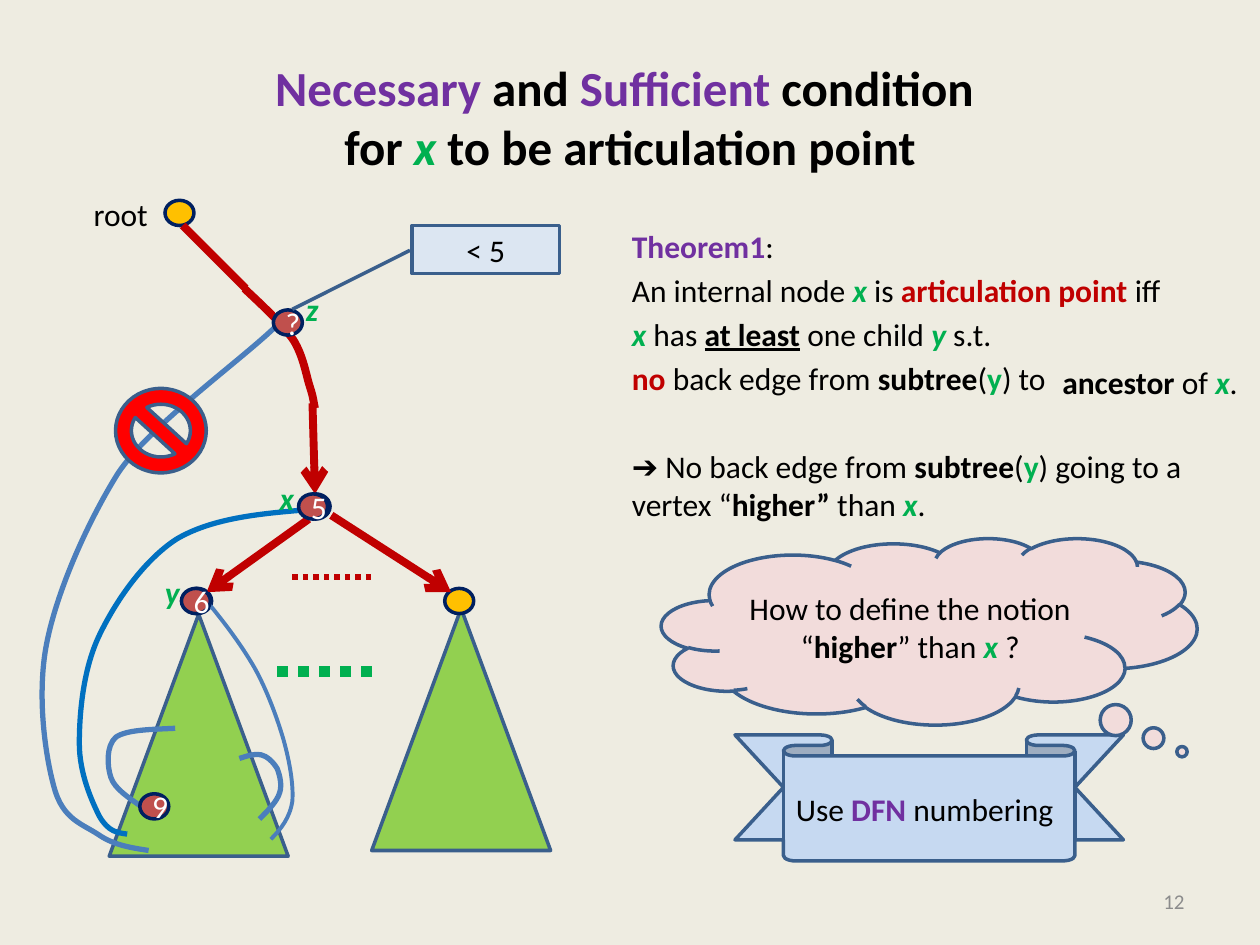
"""Build the slide on the condition for a node to be an articulation point."""
import lxml.etree
import pptx
import pptx.dml.color
import pptx.enum.dml
import pptx.enum.shapes
import pptx.enum.text
import pptx.oxml.ns
import pptx.util

COLS, ROWS = 100, 75
CELL = pptx.util.Inches(0.1)
KIND = pptx.enum.shapes.MSO_SHAPE
LEFT, CENTER, RIGHT = (getattr(pptx.enum.text.PP_ALIGN, n) for n in ("LEFT", "CENTER", "RIGHT"))
qn = pptx.oxml.ns.qn

THEME = {
    "font": "Calibri", "title": 28, "body": 18, "footer": 12,
    "paper": "EEECE1", "black": "000000", "white": "FFFFFF", "grey": "8C8C8C",
    "purple": "7030A0", "green": "00B050", "red": "C00000", "stop": "FF0000",
    "outline": "3A5F8C", "navy": "002060", "gold": "FFC000", "brick": "C0504D",
    "leaf": "92D050", "sky": "C6D9F1", "pale": "DCE6F2", "pink": "F2DCDB",
    "steel": "4B7EBC", "blue": "0070C0",
}
STYLES = {
    "plain": ("black", {}),
    "bold": ("black", {"bold": True}),
    "under": ("black", {"bold": True, "underline": True}),
    "var": ("green", {"bold": True, "italic": True}),
    "child": ("green", {"bold": True}),
    "key": ("purple", {"bold": True}),
    "alert": ("red", {"bold": True}),
    "node": ("white", {}),
    "footer": ("grey", {}),
}


def color(name):
    return pptx.dml.color.RGBColor.from_string(THEME[name])


def add(kind, box, paragraphs=(), align=CENTER, size="body", fill=None, line="outline",
        adjust=(), wrap=True, anchor="MIDDLE", gaps=()):
    """Add a shape, or a text box when kind is None, with styled runs."""
    x, y, w, h = (round(v * CELL) for v in box)
    if kind is None:
        s = slide.shapes.add_textbox(x, y, w, h)
    else:
        s = slide.shapes.add_shape(kind, x, y, w, h)
        s.shadow.inherit = False
        s.fill.solid()
        s.fill.fore_color.rgb = color(fill)
        s.line.color.rgb = color(line)
        s.line.width = pptx.util.Pt(2)
        for i, value in enumerate(adjust):
            s.adjustments[i] = value
    tf = s.text_frame
    tf.word_wrap = wrap
    tf.vertical_anchor = getattr(pptx.enum.text.MSO_ANCHOR, anchor)
    if not wrap:
        tf.auto_size = pptx.enum.text.MSO_AUTO_SIZE.SHAPE_TO_FIT_TEXT
    for i, runs in enumerate(paragraphs):
        p = tf.add_paragraph() if i else tf.paragraphs[0]
        p.alignment = align
        if gaps:
            p.space_before = pptx.util.Pt(gaps[i])
        for text, style in runs:
            if text == "\n":
                p.add_line_break()
                continue
            r = p.add_run()
            r.text = text
            ink, flags = STYLES[style]
            r.font.color.rgb = color(ink)
            values = {"name": THEME["font"], "size": pptx.util.Pt(THEME[size]), **flags}
            for name, value in values.items():
                setattr(r.font, name, value)


prs = pptx.Presentation()
prs.slide_width, prs.slide_height = COLS * CELL, ROWS * CELL
slide = prs.slides.add_slide(prs.slide_layouts[6])
slide.background.fill.solid()
slide.background.fill.fore_color.rgb = color("paper")

add(None, (5, 3, 90, 12.5), [[
    ("Necessary ", "key"), ("and", "bold"), (" Sufficient ", "key"), ("condition ", "bold"),
    ("\n", "bold"), ("for ", "bold"), ("x ", "var"), ("to be articulation point", "bold")]],
    size="title")

theorem = [
    [("Theorem1", "key"), (":", "plain")],
    [("An internal node ", "plain"), ("x ", "var"), ("is ", "plain"),
     ("articulation point ", "alert"), ("iff", "plain")],
    [("x", "var"), (" has ", "plain"), ("at least", "under"), (" ", "bold"),
     ("one child ", "plain"), ("y ", "var"), ("s.t.", "plain")],
    [("no ", "alert"), ("back edge from ", "plain"), ("subtree", "bold"), ("(", "plain"),
     ("y", "child"), (") to", "plain")],
    [("➔ No back edge from ", "plain"), ("subtree", "bold"), ("(", "plain"), ("y", "child"),
     (") going to a vertex “", "plain"), ("higher”", "bold"), (" than ", "plain"),
     ("x", "var"), (".", "plain")],
]
add(None, (49.17, 17.5, 48.33, 49.5), theorem, LEFT, anchor="TOP", gaps=(0, 3.6, 3.6, 3.6, 28.8))
add(None, (71.67, 69.5, 23.33, 4), [[("12", "footer")]], RIGHT, "footer")

for x, y in ((8.67, 48.75), (29.5, 48.3)):
    add(KIND.ISOSCELES_TRIANGLE, (x, y, 14.2, 19.2), fill="leaf")
for x, y in ((23.9, 39.2), (13.1, 15.9), (14.5, 46.7), (35.3, 46.7)):
    add(KIND.OVAL, (x, y, 2.3, 2), fill="gold", line="navy")

edges = [
    ((24.8, 32), (25, 39.2), "red", 4.5, "arrow"),
    ((14.5, 17.9), (19.5, 22.9), "red", 4.5, None),
    ((24.5, 41.2), (16.4, 47), "red", 4.5, "arrow"),
    ((26.3, 40.9), (35.8, 47), "red", 4.5, "arrow"),
    ((23.2, 45.8), (29.5, 45.8), "red", 3, "dots"),
    ((22, 53.3), (30.1, 53.3), "green", 6, "dots"),
]
for start, end, ink, width, mark in edges:
    s = slide.shapes.add_connector(
        pptx.enum.shapes.MSO_CONNECTOR.STRAIGHT, *(round(v * CELL) for v in start + end))
    s.line.color.rgb = color(ink)
    s.line.width = pptx.util.Pt(width)
    spPr = s._element.spPr
    if mark == "dots":
        s.line.dash_style = pptx.enum.dml.MSO_LINE.ROUND_DOT
    if mark == "arrow":
        lxml.etree.SubElement(spPr.find(qn("a:ln")), qn("a:tailEnd"), type="arrow")
    lxml.etree.SubElement(spPr, qn("a:effectLst"))

curves = [
    ("red", 4.5, [(19.4, 22.9), (20.9, 24.3), (22.4, 25.7), (23.3, 27), (24.1, 28.3),
                  (24.3, 29.8), (24.6, 30.7), (24.9, 31.6), (24.9, 32), (25, 32.4)]),
    ("steel", 3, [(11.2, 64), (10.2, 63.3), (9.1, 62.6), (8.8, 61.7), (8.5, 60.8),
                  (8.4, 59.2), (9.2, 58.5), (10.1, 57.9), (12, 57.9), (13.9, 57.8)]),
    ("steel", 3, [(20.6, 65), (21.3, 64.3), (22, 63.6), (22.2, 62.9), (22.4, 62.3),
                  (22.2, 61.5), (22, 61), (21.7, 60.5), (21.2, 60), (20.7, 59.9),
                  (20.2, 59.8), (19.6, 60), (19, 60.2)]),
    ("steel", 2.25, [(21.5, 66.6), (22.3, 65.8), (23, 64.9), (23.2, 63.6), (23.3, 62.3),
                     (23, 60.5), (22.5, 58.7), (22, 57), (21.2, 54.8), (20.2, 53),
                     (19.1, 51.1), (17.8, 49.4), (16.4, 47.7)]),
    ("blue", 3, [(10.1, 66.2), (9.3, 66.1), (8.6, 66), (7.9, 64.8), (7.3, 63.6),
                 (6.3, 61.4), (6.3, 59), (6.3, 56.6), (6.6, 53.1), (7.9, 50.4),
                 (9.2, 47.7), (11.4, 44.5), (14, 42.8), (16.7, 41.2), (20.3, 40.8),
                 (23.9, 40.5)]),
    ("steel", 3, [(11.8, 67.5), (10.5, 67.3), (9.1, 67.1), (7.9, 66.3), (6.6, 65.4),
                  (5, 65.1), (4.3, 62.5), (3.6, 60), (2.9, 55.2), (3.7, 51.1),
                  (4.5, 47), (6.8, 41.8), (9.1, 38), (11.3, 34.2), (18.9, 28.8),
                  (21.9, 25.9)]),
]
for ink, width, knots in curves:
    points = [tuple(round(v * CELL) for v in knot) for knot in knots]
    outline = slide.shapes.build_freeform(*points[0])
    outline.add_line_segments(points[1:], close=False)
    s = outline.convert_to_shape()
    segments = list(s._element.iter(qn("a:lnTo")))
    for k in range(0, len(segments), 3):
        bend = lxml.etree.Element(qn("a:cubicBezTo"))
        segments[k].addprevious(bend)
        for segment in segments[k:k + 3]:
            bend.append(segment[0])
            segment.getparent().remove(segment)
    s.shadow.inherit = False
    s.fill.background()
    s.line.color.rgb = color(ink)
    s.line.width = pptx.util.Pt(width)

add(KIND.NO_SYMBOL, (9.17, 30.83, 7.2, 6.7), fill="stop")
add(KIND.DOWN_RIBBON, (58.33, 58.33, 30.83, 10),
    [[("Use ", "plain"), ("DFN ", "key"), ("numbering", "plain")]], LEFT,
    fill="sky", adjust=(0.167, 0.75))

nodes = [(11.1, 63, "9"), (14.4, 46.7, "6"), (23.7, 39.2, "5"), (21.7, 24.6, "?")]
for x, y, label in nodes:
    add(KIND.OVAL, (x, y, 2.3, 2), [[(label, "node")]], fill="brick", line="navy")

add(KIND.CLOUD_CALLOUT, (52.5, 42.7, 42.5, 14.8), [[
    ("How to define the notion “", "plain"), ("higher", "bold"), ("” than ", "plain"),
    ("x ", "var"), ("?", "plain")]], fill="pink", adjust=(0.472, 0.646))
add(KIND.LINE_CALLOUT_1, (32.7, 17.9, 11.7, 3.8), [[("< 5", "plain")]],
    fill="pale", adjust=(0.519, -0.014, 1.75, -0.812))

labels = [
    (6.45, 15, 6.4, [("root", "plain")]),
    (21.2, 37.5, 3.2, [("x", "var")]),
    (12.1, 45, 3.2, [("y", "var")]),
    (23.3, 22.5, 3, [("z", "var")]),
    (83.33, 28.3, 16, [("ancestor", "bold"), (" of ", "plain"), ("x", "var"), (".", "plain")]),
]
for x, y, width, runs in labels:
    add(None, (x, y, width, 4), [runs], LEFT, wrap=False, anchor="TOP")

prs.save("out.pptx")
